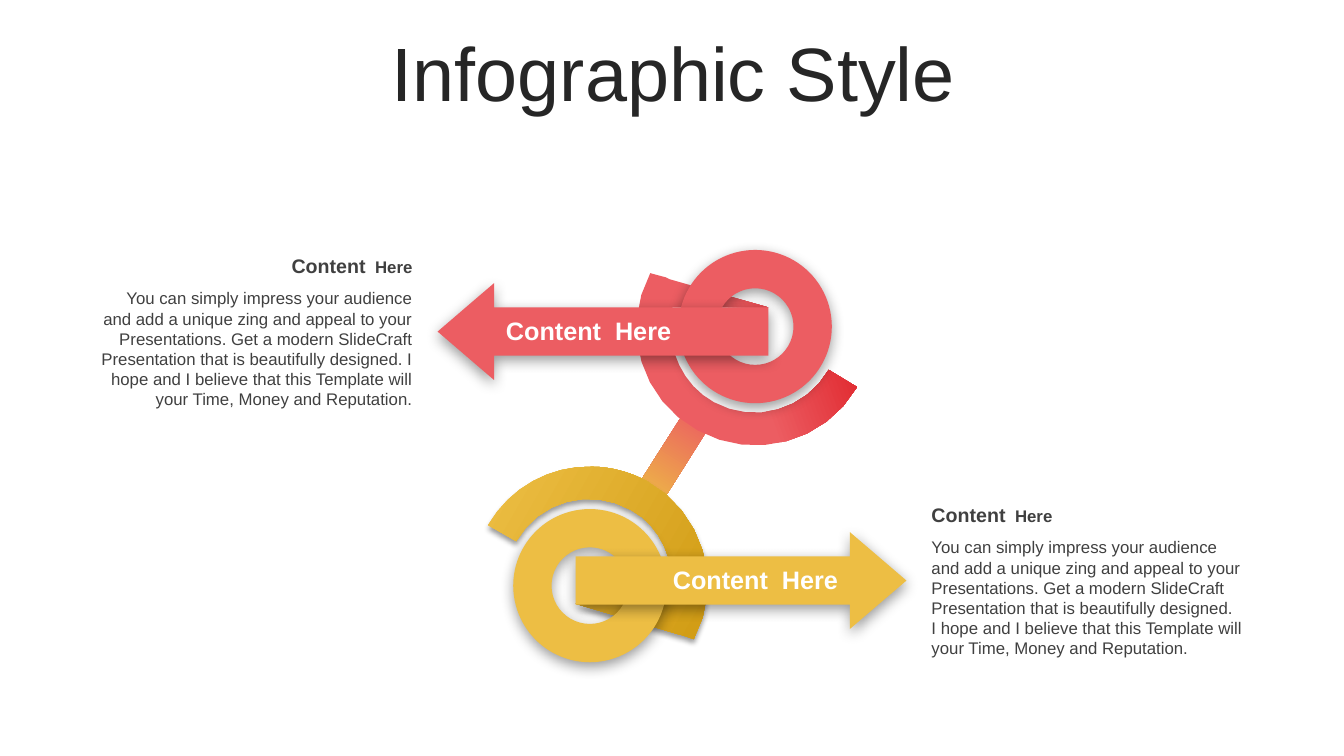
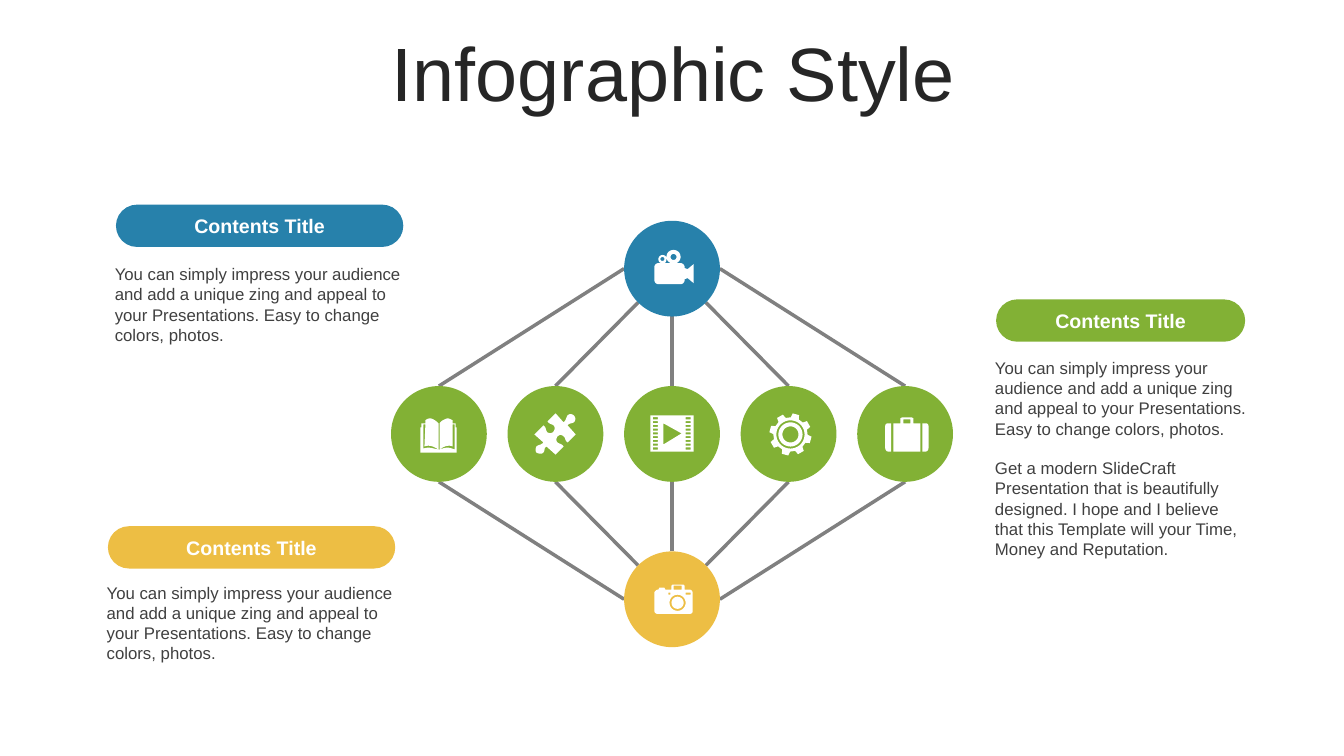
from copy import deepcopy
from math import cos, radians, sin

from lxml.etree import SubElement
from pptx import Presentation
from pptx.dml.color import RGBColor
from pptx.enum.shapes import MSO_CONNECTOR, MSO_SHAPE
from pptx.enum.text import MSO_ANCHOR, MSO_AUTO_SIZE, PP_ALIGN
from pptx.oxml.ns import qn
from pptx.util import Inches, Pt

HUES = {
    "ink": "262626", "text": "404040", "white": "FFFFFF", "black": "000000",
    "gray": "808080", "blue": "2781AB", "green": "82B135",
    "gold": "EDBE44", "ochre": "D19C14", "coral": "EC5D62", "red": "DD1A21",
}
FONT = "Arial"
EASY = ("You can simply impress your audience and add a unique zing and appeal to "
        "your Presentations. Easy to change colors, photos.")
MODERN = ("Get a modern SlideCraft Presentation that is beautifully designed. I hope and "
          "I believe that this Template will your Time, Money and Reputation.")
LONG = EASY.split(" Easy")[0] + " " + MODERN

GOLD_ARC = """M 5.87 4.63 C 6.05 4.63 6.24 4.68 6.41 4.77 C 6.97 5.08 7.18 5.78 6.88 6.34
 C 6.82 6.32 6.77 6.3 6.72 6.29 L 5.71 5.99 L 6.65 5.99 L 6.67 5.91
 C 6.7 5.58 6.56 5.22 6.26 5.06 C 5.85 4.83 5.35 4.97 5.12 5.37 L 4.84 5.21
 C 5.06 4.83 5.46 4.62 5.87 4.63"""
CORAL_ARC = """M 6.45 2.71 C 6.52 2.73 6.56 2.74 6.6 2.75 L 6.64 2.77 L 7.62 3.05
 L 6.67 3.05 L 6.65 3.13 C 6.62 3.47 6.77 3.82 7.08 3.99 C 7.48 4.21 7.99 4.07 8.22 3.67
 L 8.5 3.84 C 8.18 4.39 7.48 4.58 6.92 4.27 C 6.36 3.97 6.15 3.27 6.45 2.71"""
PHOTO = """M 6.67 5.8 L 6.78 5.8 L 6.79 5.81 L 6.79 5.85 L 6.84 5.85 C 6.86 5.85 6.87 5.87 6.87 5.88
 L 6.87 6.06 C 6.87 6.08 6.86 6.09 6.84 6.09 L 6.52 6.09 C 6.51 6.09 6.49 6.08 6.49 6.06
 L 6.49 5.88 C 6.49 5.87 6.51 5.85 6.52 5.85 L 6.53 5.85 L 6.54 5.83 L 6.59 5.83
 L 6.6 5.85 L 6.66 5.85 L 6.66 5.81"""
VIDEO = """M 6.68 2.48 C 6.72 2.48 6.75 2.51 6.75 2.55 C 6.75 2.58 6.73 2.6 6.71 2.61 L 6.75 2.61
 C 6.77 2.61 6.79 2.63 6.79 2.65 L 6.79 2.66 L 6.82 2.67 L 6.88 2.62 L 6.88 2.81 L 6.82 2.76
 L 6.79 2.77 L 6.79 2.78 C 6.79 2.8 6.77 2.82 6.75 2.82 L 6.53 2.82 C 6.51 2.82 6.49 2.8 6.49 2.78
 L 6.49 2.65 C 6.49 2.63 6.51 2.61 6.53 2.61 L 6.56 2.61 C 6.54 2.61 6.53 2.59 6.53 2.57
 C 6.53 2.55 6.55 2.53 6.57 2.53 C 6.6 2.53 6.61 2.55 6.61 2.57 C 6.61 2.59 6.6 2.61 6.59 2.61
 L 6.65 2.61 C 6.63 2.6 6.61 2.58 6.61 2.55 C 6.61 2.51 6.64 2.48 6.68 2.48"""
PUZZLE = """M 5.69 4.12 C 5.71 4.14 5.71 4.16 5.7 4.18 C 5.68 4.21 5.65 4.19 5.63 4.22 L 5.71 4.31
 L 5.63 4.39 C 5.6 4.37 5.61 4.34 5.59 4.33 C 5.57 4.31 5.55 4.31 5.53 4.33
 C 5.52 4.34 5.51 4.37 5.53 4.39 C 5.56 4.41 5.57 4.4 5.59 4.43 L 5.51 4.51 L 5.42 4.43
 C 5.39 4.45 5.41 4.46 5.39 4.49 C 5.37 4.51 5.34 4.5 5.32 4.49 C 5.31 4.48 5.31 4.45 5.32 4.43
 C 5.34 4.41 5.36 4.42 5.39 4.39 L 5.3 4.31 L 5.39 4.22 C 5.42 4.24 5.41 4.27 5.43 4.29
 C 5.45 4.3 5.48 4.3 5.49 4.28 C 5.5 4.27 5.51 4.24 5.49 4.22 C 5.46 4.2 5.45 4.21 5.43 4.18
 L 5.51 4.1 L 5.59 4.19 C 5.62 4.16 5.61 4.15 5.63 4.12 C 5.65 4.1 5.68 4.11 5.69 4.12"""
BOOK = """M 4.35 4.46 L 4.36 4.46 C 4.42 4.44 4.44 4.43 4.51 4.46 L 4.51 4.21 L 4.49 4.21
 L 4.49 4.43 C 4.45 4.41 4.4 4.43 4.36 4.46 L 4.36 4.2 C 4.38 4.17 4.41 4.16 4.44 4.15
 C 4.45 4.15 4.47 4.16 4.49 4.17 L 4.49 4.2 L 4.52 4.2 L 4.52 4.24 L 4.53 4.24 L 4.53 4.49
 L 4.17 4.49 L 4.17 4.24 L 4.18 4.24 L 4.18 4.2 L 4.22 4.2 L 4.22 4.17
 C 4.23 4.16 4.25 4.15 4.27 4.15 C 4.3 4.16 4.32 4.17 4.35 4.2 L 4.35 4.46
 C 4.3 4.43 4.26 4.41 4.21 4.43 L 4.22 4.21 L 4.2 4.21 L 4.2 4.45 C 4.26 4.43 4.29 4.45 4.35 4.46"""
CASE = """M 9.15 4.2 L 9.18 4.2 C 9.2 4.2 9.21 4.21 9.21 4.23 L 9.21 4.44
 C 9.21 4.46 9.2 4.48 9.18 4.48 L 9.15 4.48
 M 8.84 4.2 L 8.84 4.48 L 8.81 4.48 C 8.79 4.48 8.78 4.46 8.78 4.44 L 8.78 4.23
 C 8.78 4.21 8.79 4.2 8.81 4.2
 M 8.95 4.14 L 9.04 4.14 L 9.06 4.15 L 9.06 4.2 L 9.13 4.2 L 9.13 4.48 L 8.86 4.48
 L 8.86 4.2 L 8.93 4.2 L 8.93 4.15"""


def tint(name):
    return RGBColor.from_string(HUES[name])


def spot(at):
    return [Inches(v) for v in at]


def trace(code, steps=8):
    loops, words = [], iter(code.split())
    for word in words:
        nums = [float(next(words)) for _ in range(6 if word == "C" else 2)]
        if word == "M":
            loops.append([tuple(nums)])
        elif word == "L":
            loops[-1].append(tuple(nums))
        else:
            ends = [loops[-1][-1], nums[:2], nums[2:4], nums[4:]]
            for step in range(1, steps + 1):
                t = step / steps
                mix = [(1 - t) ** 3, 3 * t * (1 - t) ** 2, 3 * t * t * (1 - t), t ** 3]
                loops[-1].append(tuple(sum(m * p[k] for m, p in zip(mix, ends)) for k in (0, 1)))
    return loops


def polar(x, y, size, angle):
    return x + size * cos(radians(angle)), y + size * sin(radians(angle))


def disc(x, y, size):
    return [polar(x, y, size, angle) for angle in range(0, 360, 10)]


def box(left, top, right, bottom):
    return [(left, top), (right, top), (right, bottom), (left, bottom)]


def gear(x, y):
    teeth = [polar(x, y, size, 15 + 45 * k + turn) for k in range(8)
             for turn, size in ((-14, 0.17), (-9, 0.21), (9, 0.21), (14, 0.17))]
    return [teeth] + [disc(x, y, size) for size in (0.14, 0.12, 0.08)]


def film():
    holes = [box(x, 4.14 + 0.0375 * k, x + 0.05, 4.16 + 0.0375 * k)
             for x in (6.475, 6.8) for k in range(9)]
    return [box(6.45, 4.12, 6.88, 4.48), [(6.58, 4.2), (6.58, 4.41), (6.76, 4.3)]] + holes


def paint(shape, hue):
    shape.shadow.inherit = False
    shape.line.fill.background()
    shape.fill.solid()
    shape.fill.fore_color.rgb = tint(hue)
    return shape


def blend(shape, hues, angle):
    fill = shape.fill
    fill.gradient()
    fill.gradient_angle = -angle % 360
    stops = shape._element.spPr.find(qn("a:gradFill")).find(qn("a:gsLst"))
    while len(stops) < len(hues):
        stops.append(deepcopy(stops[0]))
    for k, (stop, hue) in enumerate(zip(fill.gradient_stops, hues)):
        stop.position = k / (len(hues) - 1)
        stop.color.rgb = tint(hue)


def shade(shape, blur=10):
    glow = shape._element.spPr.find(qn("a:effectLst"))
    drop = SubElement(glow, qn("a:outerShdw"), blurRad=str(Pt(blur)), dist=str(Pt(3)),
                      dir="5400000", algn="t", rotWithShape="0")
    hue = SubElement(drop, qn("a:srgbClr"), val=HUES["black"])
    SubElement(hue, qn("a:alpha"), val="40000")


def form(slide, kind, at, hue):
    return paint(slide.shapes.add_shape(kind, *spot(at)), hue)


def draw(slide, loops, hue="white"):
    loops = [[tuple(spot(point)) for point in loop] for loop in loops]
    pen = slide.shapes.build_freeform(*loops[0][0])
    for k, loop in enumerate(loops):
        if k:
            pen.move_to(*loop[0])
        pen.add_line_segments(loop[1:], close=True)
    return paint(pen.convert_to_shape(), hue)


def style(part, size, hue, bold=False):
    for run in part.runs:
        font = run.font
        font.name, font.size, font.bold = FONT, Pt(size), bold
        font.color.rgb = tint(hue)


def write(slide, at, lines, size=12, hue="text", bold=False, align=PP_ALIGN.LEFT):
    frame = slide.shapes.add_textbox(*spot(at)).text_frame
    frame.word_wrap = True
    frame.text = "\n".join(lines)
    for k, part in enumerate(frame.paragraphs):
        part.alignment = align
        if k:
            part.space_before = Pt(14)
        style(part, size, hue, bold)
    return frame


def title(slide):
    head = slide.shapes.title
    head.left, head.top, head.width, head.height = spot((0.35, 0.37, 12.66, 0.79))
    frame = head.text_frame
    frame.text = "Infographic Style"
    frame.word_wrap, frame.auto_size = True, MSO_AUTO_SIZE.NONE
    frame.vertical_anchor = MSO_ANCHOR.MIDDLE
    part = frame.paragraphs[0]
    part.alignment, part.line_spacing = PP_ALIGN.CENTER, 0.9
    style(part, 54, "ink")


def story(slide, left, top, width, align):
    frame = write(slide, (left, top, width, 0.34), ["Content"], 14, bold=True, align=align)
    part = frame.paragraphs[0]
    part.add_run().text = "  Here"
    style(part, 14, "text", True)
    part.runs[1].font.size = Pt(12)
    write(slide, (left, top + 0.34, width, 1.31), [LONG], align=align)


def arrow(slide, kind, at, hue):
    shape = form(slide, kind, at, hue)
    shape.adjustments[0], shape.adjustments[1] = 0.5, 0.583
    shade(shape)


def pill(slide, left, top, width, hue, lines, drop, tall):
    shape = form(slide, MSO_SHAPE.ROUNDED_RECTANGLE, (left, top, width, 0.42), hue)
    shape.adjustments[0] = 0.5
    frame = shape.text_frame
    frame.text = "Contents Title"
    frame.vertical_anchor = MSO_ANCHOR.MIDDLE
    frame.paragraphs[0].alignment = PP_ALIGN.CENTER
    style(frame.paragraphs[0], 14, "white", True)
    write(slide, (left - 0.11, top + drop, width + 0.22, tall), lines)


def line(slide, start, end):
    wire = slide.shapes.add_connector(MSO_CONNECTOR.STRAIGHT, *spot(start + end))
    wire.line.color.rgb, wire.line.width = tint("gray"), Pt(2.5)
    SubElement(wire._element.spPr, qn("a:effectLst"))


def rings(slide):
    title(slide)
    story(slide, 9.14, 4.94, 3.28, PP_ALIGN.LEFT)
    story(slide, 0.86, 2.47, 3.33, PP_ALIGN.RIGHT)
    link = form(slide, MSO_SHAPE.FLOWCHART_PROCESS, (6.52, 4.12, 0.29, 0.86), "coral")
    link.rotation = 32.3
    blend(link, ["coral", "gold"], 90)
    arc = draw(slide, trace(GOLD_ARC), "gold")
    blend(arc, ["gold", "ochre"], 30)
    shade(arc, 4)
    shade(form(slide, MSO_SHAPE.DONUT, (5.09, 5.05, 1.52, 1.52), "gold"))
    arrow(slide, MSO_SHAPE.RIGHT_ARROW, (5.71, 5.28, 3.28, 0.96), "gold")
    blend(draw(slide, trace(CORAL_ARC), "coral"), ["coral", "coral", "red"], 340)
    shade(form(slide, MSO_SHAPE.DONUT, (6.73, 2.48, 1.52, 1.52), "coral"))
    arrow(slide, MSO_SHAPE.LEFT_ARROW, (4.34, 2.81, 3.28, 0.96), "coral")
    for left, top, align in ((6.02, 5.55, PP_ALIGN.RIGHT), (4.92, 3.08, PP_ALIGN.LEFT)):
        frame = write(slide, (left, top, 2.39, 0.4), ["Content  Here"], 18, "white", True, align)
        frame.vertical_anchor = MSO_ANCHOR.MIDDLE


def web(slide):
    title(slide)
    mid, row, rise, half = 6.665, 4.305, 1.64, 0.475
    cols = [mid + 1.156 * k for k in range(-2, 3)]
    for side in (-1, 1):
        for k, col in enumerate(cols):
            end = polar(mid, row + side * rise, half, side * (45 * k - 180))
            line(slide, (col, row + side * half), end)
    dots = [(col, row, "green") for col in cols]
    dots += [(mid, row - rise, "blue"), (mid, row + rise, "gold")]
    for x, y, hue in dots:
        form(slide, MSO_SHAPE.OVAL, (x - half, y - half, 2 * half, 2 * half), hue)
    pill(slide, 1.07, 5.22, 2.85, "gold", [EASY], 0.51, 0.91)
    pill(slide, 1.15, 2.03, 2.85, "blue", [EASY], 0.54, 0.91)
    pill(slide, 9.88, 2.97, 2.47, "green", [EASY, MODERN], 0.53, 2.12)
    photo = [disc(6.72, 5.98, 0.08), disc(6.72, 5.98, 0.06), box(6.63, 5.88, 6.65, 5.9),
             box(6.8, 5.88, 6.85, 5.9), box(6.68, 5.81, 6.76, 5.85)]
    draw(slide, trace(PHOTO) + photo)
    draw(slide, trace(VIDEO) + [disc(6.57, 2.57, 0.02), disc(6.68, 2.55, 0.03)])
    draw(slide, trace(PUZZLE))
    draw(slide, trace(BOOK))
    draw(slide, film())
    draw(slide, trace(CASE) + [box(8.96, 4.16, 9.03, 4.2)])
    draw(slide, gear(7.84, 4.31))


def main():
    deck = Presentation()
    deck.slide_width, deck.slide_height = Inches(13.33), Inches(7.5)
    for build in (rings, web):
        build(deck.slides.add_slide(deck.slide_layouts[5]))
    deck.save("out.pptx")


if __name__ == "__main__":
    main()
